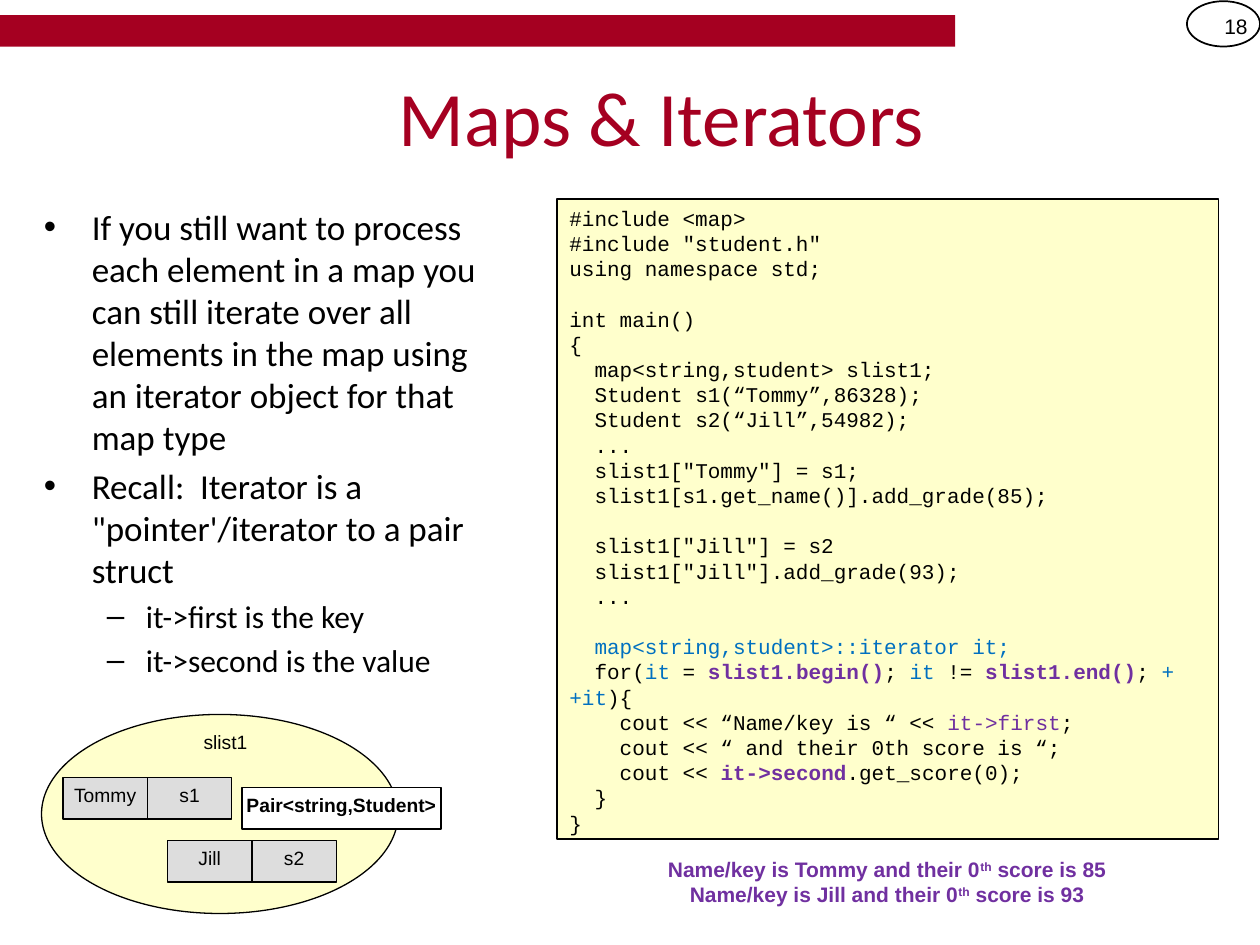
from dataclasses import dataclass

from lxml import etree
from pptx import Presentation
from pptx.dml.color import RGBColor
from pptx.enum.shapes import MSO_SHAPE
from pptx.enum.text import MSO_ANCHOR, PP_ALIGN
from pptx.oxml.ns import qn
from pptx.util import Inches, Pt


@dataclass(frozen=True)
class Theme:
    red: str = "A50021"
    black: str = "000000"
    white: str = "FFFFFF"
    cream: str = "FFFFCC"
    gray: str = "DDDDDD"
    blue: str = "0070C0"
    purple: str = "7030A0"
    plum: str = "6F2F9F"
    heading: str = "Calibri"
    label: str = "Arial"
    mono: str = "Courier New"
    title_size: float = 44
    bullet_sizes: tuple = (20, 18)
    code_size: float = 12
    label_size: float = 11
    thin: float = 0.75
    code_line: float = 14.4
    code_column: float = 0.1


class SlideBuilder:
    def __init__(self, slide, theme):
        self.slide = slide
        self.theme = theme

    def shape(self, kind, box, fill=None, line=None):
        item = self.slide.shapes.add_shape(kind, *map(Inches, box))
        item.shadow.inherit = False
        if fill:
            item.fill.solid()
            item.fill.fore_color.rgb = RGBColor.from_string(fill)
        else:
            item.fill.background()
        if line:
            item.line.color.rgb = RGBColor.from_string(self.theme.black)
            item.line.width = Pt(line)
        else:
            item.line.fill.background()
        return item

    def frame(self, item, anchor=MSO_ANCHOR.TOP, wrap=True):
        item.text_frame.word_wrap = wrap
        item.text_frame.vertical_anchor = anchor
        return item.text_frame

    def textbox(self, box, **options):
        return self.frame(self.slide.shapes.add_textbox(*map(Inches, box)), **options)

    def paragraph(self, frame, first, align=PP_ALIGN.LEFT):
        paragraph = frame.paragraphs[0] if first else frame.add_paragraph()
        paragraph.alignment = align
        return paragraph

    def run(self, paragraph, text, font, size, color=None, bold=False, raised=False):
        run = paragraph.add_run()
        run.text = text
        run.font.name = font
        run.font.size = Pt(size)
        run.font.bold = bold
        run.font.color.rgb = RGBColor.from_string(color or self.theme.black)
        if raised:
            run.font._element.set("baseline", "30000")

    def line_of_text(self, frame, text, font, size, align=PP_ALIGN.CENTER, **style):
        self.run(self.paragraph(frame, True, align), text, font, size, **style)

    def indent(self, paragraph, left, first):
        properties = paragraph._p.get_or_add_pPr()
        properties.set("marL", str(Inches(left)))
        properties.set("indent", str(Inches(first)))
        return properties

    def bullets(self, box, items):
        frame = self.textbox(box)
        marks = (("•", 0.38, -0.38), ("–", 0.81, -0.31))
        for index, (level, text) in enumerate(items):
            mark, left, first = marks[level]
            size = self.theme.bullet_sizes[level]
            paragraph = self.paragraph(frame, index == 0)
            paragraph.level = level
            paragraph.space_before = Pt(size * 0.2)
            properties = self.indent(paragraph, left, first)
            etree.SubElement(properties, qn("a:buFont")).set("typeface", self.theme.label)
            etree.SubElement(properties, qn("a:buChar")).set("char", mark)
            self.run(paragraph, text, self.theme.heading, size)

    def code(self, box, blocks):
        theme = self.theme
        frame = self.frame(self.shape(MSO_SHAPE.RECTANGLE, box, theme.cream, theme.thin))
        for block_index, block in enumerate(blocks):
            for index, (columns, *parts) in enumerate(block):
                paragraph = self.paragraph(frame, block_index + index == 0)
                if block_index and index == 0:
                    paragraph.space_before = Pt(theme.code_line)
                self.indent(paragraph, 0, columns * theme.code_column)
                for part in parts:
                    text, *style = (part,) if isinstance(part, str) else part
                    self.run(paragraph, text, theme.mono, theme.code_size, *style)

    def output(self, box, results):
        frame = self.textbox(box)
        for index, (name, score) in enumerate(results):
            paragraph = self.paragraph(frame, index == 0, PP_ALIGN.CENTER)
            pieces = ((f"Name/key is {name} and their 0", False), ("th", True),
                      (f" score is {score}", False))
            for text, raised in pieces:
                self.run(paragraph, text, self.theme.label, self.theme.code_size,
                         self.theme.purple, True, raised)

    def cell(self, box, text, fill, bold=False):
        item = self.shape(MSO_SHAPE.RECTANGLE, box, fill, self.theme.thin)
        self.line_of_text(self.frame(item, wrap=False), text, self.theme.label,
                          self.theme.label_size, bold=bold)


theme = Theme()
presentation = Presentation()
presentation.slide_width = Inches(10)
presentation.slide_height = Inches(7.5)
builder = SlideBuilder(presentation.slides.add_slide(presentation.slide_layouts[6]), theme)

builder.shape(MSO_SHAPE.RECTANGLE, (0, 0.12, 7.58, 0.25), theme.red)
builder.shape(MSO_SHAPE.OVAL, (9.42, 0.01, 0.58, 0.36), line=1)
builder.line_of_text(builder.textbox((9.42, 0.01, 0.58, 0.4), anchor=MSO_ANCHOR.MIDDLE),
                     "18", theme.label, theme.code_size, PP_ALIGN.RIGHT)
builder.line_of_text(builder.textbox((1.5, 0.42, 7.5, 1), anchor=MSO_ANCHOR.MIDDLE),
                     "Maps & Iterators", theme.heading, theme.title_size, color=theme.red)

builder.bullets((0.25, 1.58, 3.75, 4.58), (
    (0, "If you still want to process each element in a map you can still iterate "
        "over all elements in the map using an iterator object for that map type"),
    (0, "Recall:  Iterator is a \"pointer'/iterator to a pair struct"),
    (1, "it->first is the key"),
    (1, "it->second is the value"),
))

iterator = ("it ", theme.blue)
builder.code((4.42, 1.58, 5.25, 5.08), (
    ((0, "#include <map>"),
     (0, '#include "student.h"'),
     (0, "using namespace std;")),
    ((0, "int main()"),
     (0, "{"),
     (2, "map<string,student> slist1;"),
     (2, "Student s1(“Tommy”,86328);"),
     (2, "Student s2(“Jill”,54982);"),
     (2, "..."),
     (2, 'slist1["Tommy"] = s1;'),
     (2, "slist1[s1.get_name()].add_grade(85);")),
    ((2, 'slist1["Jill"] = s2'),
     (2, 'slist1["Jill"].add_grade(93);'),
     (2, "...")),
    ((2, ("map<string,student>::iterator it;", theme.blue)),
     (2, "for(", iterator, "= ", ("slist1.begin()", theme.purple, True), "; ",
      iterator, "!= ", ("slist1.end()", theme.purple, True), "; ",
      ("++it", theme.blue), "){"),
     (4, "cout << “Name/key is “ << ", ("it->first", theme.plum), ";"),
     (4, "cout << “ and their 0th score is “;"),
     (4, "cout << ", ("it->second", theme.purple, True), ".get_score(0);"),
     (2, "}"),
     (0, "}")),
))
builder.output((5.04, 6.75, 4, 0.5), (("Tommy", 85), ("Jill", 93)))

builder.shape(MSO_SHAPE.OVAL, (0.33, 5.67, 2.83, 1.58), theme.cream, theme.thin)
builder.line_of_text(builder.textbox((1.25, 5.75, 1.08, 0.33), wrap=False),
                     "slist1", theme.label, theme.label_size)
for left, top, pair in ((0.5, 6.17, ("Tommy", "s1")), (1.33, 6.67, ("Jill", "s2"))):
    for column, text in enumerate(pair):
        builder.cell((left + column * 0.67, top, 0.67, 0.33), text, theme.gray)
builder.cell((1.92, 6.25, 1.58, 0.33), "Pair<string,Student>", theme.white, bold=True)

presentation.save("out.pptx")
